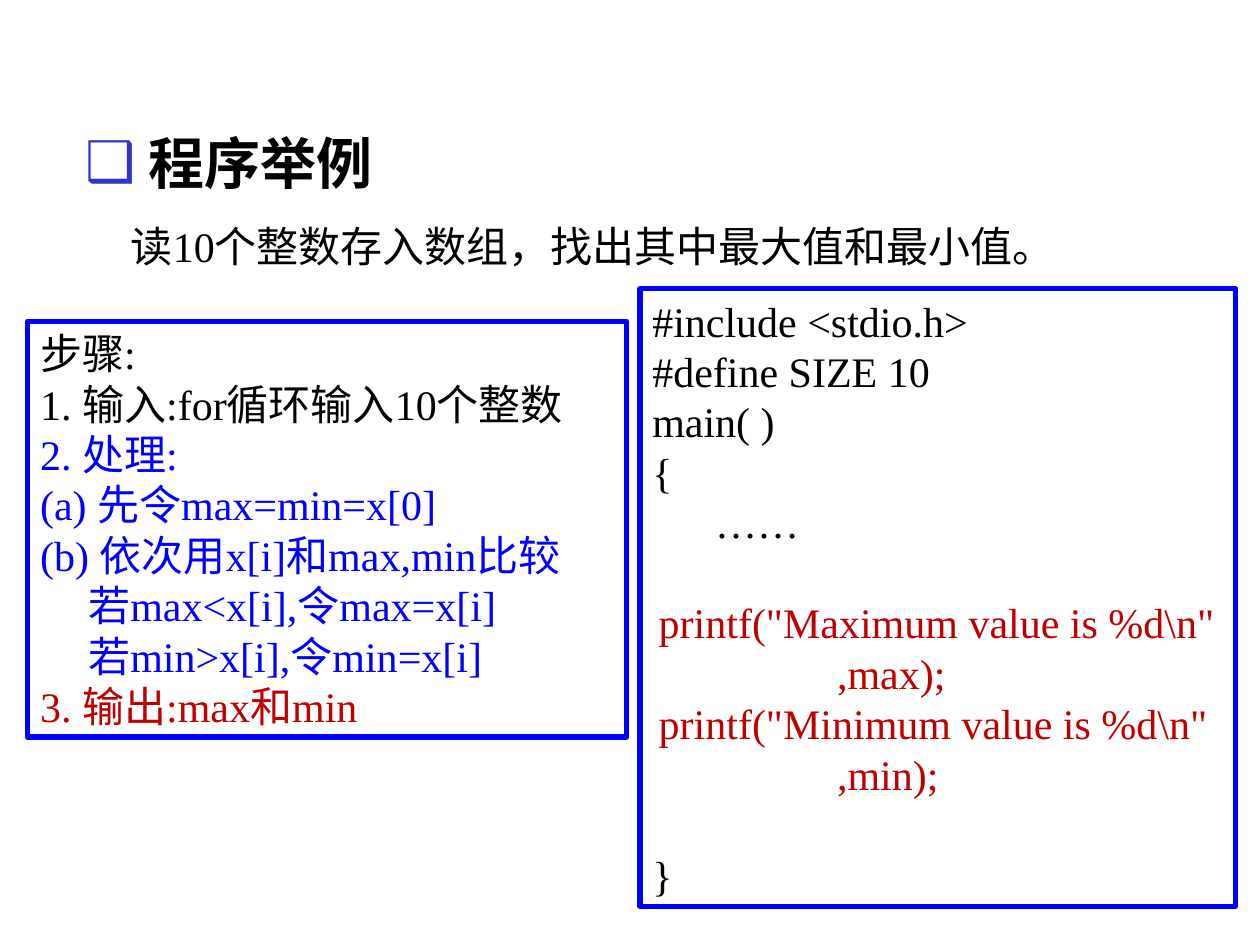
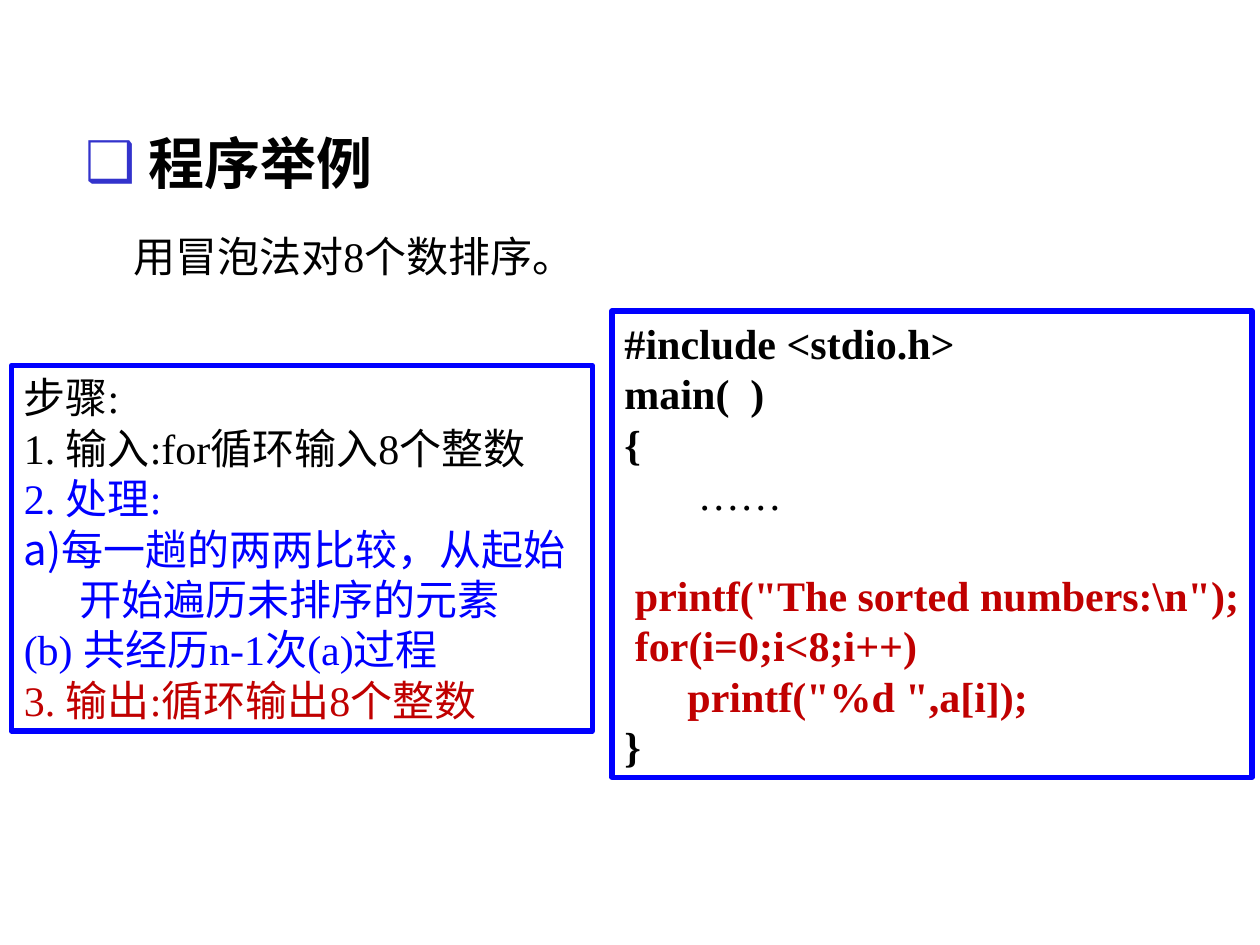
from dataclasses import dataclass

from lxml import etree
from pptx import Presentation
from pptx import util as u
from pptx.dml.color import RGBColor
from pptx.enum import shapes, text
from pptx.oxml import ns


@dataclass(frozen=True)
class Theme:
    ink: str = "000000"
    blue: str = "0000FF"
    red: str = "C00000"
    mark: str = "3333CC"
    paper: str = "FFFFFF"
    head: str = "Arial"
    body: str = "Times New Roman"
    big: float = 32
    size: float = 24
    pitch: float = 28.8
    edge: float = 3


@dataclass
class Line:
    text: str
    color: str = Theme.ink
    bold: bool = False
    left: float = 0      # left indent in cm
    gap: int = 0         # empty lines above
    auto: str = ""       # automatic numbering scheme


class Deck:
    def __init__(self, theme):
        self.theme = theme
        self.prs = Presentation()
        self.prs.slide_width, self.prs.slide_height = u.Cm(25.4), u.Cm(19.05)
        self.slide = None

    # Paragraph helpers
    def bullet(self, para, left, kind, color, **attrs):
        props = para._p.get_or_add_pPr()
        props.set("marL", str(u.Cm(left)))
        props.set("indent", str(-u.Cm(left)))
        tint = etree.SubElement(props, ns.qn("a:buClr"))
        etree.SubElement(tint, ns.qn("a:srgbClr"), val=color)
        etree.SubElement(props, ns.qn("a:buFont"), typeface=self.theme.head)
        etree.SubElement(props, ns.qn(kind), **attrs)

    def style(self, para, name, size, color, bold):
        para.alignment = text.PP_ALIGN.LEFT
        font = para.font
        font.name, font.size, font.bold = name, u.Pt(size), bold
        font.color.rgb = RGBColor.from_string(color)

    def fill(self, frame, lines):
        t = self.theme
        frame.word_wrap = True
        frame.margin_right = 0
        for i, line in enumerate(lines):
            para = frame.add_paragraph() if i else frame.paragraphs[0]
            para.add_run().text = line.text
            if line.auto:
                self.bullet(para, line.left, "a:buAutoNum", line.color, type=line.auto)
            elif line.left:
                para._p.get_or_add_pPr().set("marL", str(u.Cm(line.left)))
            para.line_spacing = u.Pt(t.pitch)
            if line.gap:
                para.space_before = u.Pt(line.gap * t.pitch)
            self.style(para, t.body, t.size, line.color, line.bold)

    # Slide elements
    def start(self, title):
        t = self.theme
        self.slide = self.prs.slides.add_slide(self.prs.slide_layouts[5])
        head = self.slide.shapes.title
        head.left, head.top, head.width, head.height = map(u.Cm, (1.47, 2.46, 10.21, 1.63))
        frame = head.text_frame
        frame.text = title
        frame.auto_size = text.MSO_AUTO_SIZE.NONE
        frame.vertical_anchor = text.MSO_ANCHOR.MIDDLE
        para = frame.paragraphs[0]
        self.bullet(para, 1.27, "a:buChar", t.mark, char="❑")
        self.style(para, t.head, t.big, t.ink, True)

    def note(self, area, lines):
        self.fill(self.slide.shapes.add_textbox(*map(u.Cm, area)).text_frame, lines)

    def panel(self, area, lines):
        t = self.theme
        box = self.slide.shapes.add_shape(shapes.MSO_SHAPE.RECTANGLE, *map(u.Cm, area))
        box.shadow.inherit = False
        box.fill.solid()
        box.fill.fore_color.rgb = RGBColor.from_string(t.paper)
        box.line.color.rgb = RGBColor.from_string(t.blue)
        box.line.width = u.Pt(t.edge)
        box.text_frame.vertical_anchor = text.MSO_ANCHOR.MIDDLE
        self.fill(box.text_frame, lines)


def main():
    t = Theme()
    deck = Deck(t)
    title = "程序举例"

    # Largest and smallest value
    deck.start(title)
    deck.note((2.39, 4.32, 19.53, 1.27), [Line("读10个整数存入数组，找出其中最大值和最小值。")])
    deck.panel((0.56, 6.48, 12.07, 8.38), [
        Line("步骤:"),
        Line("1. 输入:for循环输入10个整数"),
        Line("2. 处理:", t.blue),
        Line("(a) 先令max=min=x[0]", t.blue),
        Line("(b) 依次用x[i]和max,min比较", t.blue),
        Line("若max<x[i],令max=x[i]", t.blue, left=0.97),
        Line("若min>x[i],令min=x[i]", t.blue, left=0.97),
        Line("3. 输出:max和min", t.red),
    ])
    code = ["#include <stdio.h>", "#define SIZE 10", "main( )", "{", "      ……"]
    deck.panel((12.9, 5.82, 12.01, 12.45), [*map(Line, code), Line("}", gap=6)])
    prints = [
        r'printf("Maximum value is %d\n"',
        "                 ,max);",
        r'printf("Minimum value is %d\n"',
        "                 ,min);",
    ]
    deck.note((13.03, 11.91, 12.3, 4.32), [Line(row, t.red) for row in prints])

    # Bubble sort
    deck.start(title)
    deck.panel((12.34, 6.27, 12.9, 9.4), [
        Line("#include <stdio.h>", bold=True),
        Line("main(  )", bold=True),
        Line("{", bold=True),
        Line("       ……"),
        Line(r' printf("The sorted numbers:\n");', t.red, True, gap=1),
        Line(" for(i=0;i<8;i++)", t.red, True),
        Line('      printf("%d ",a[i]);', t.red, True),
        Line("}", bold=True),
    ])
    deck.note((2.44, 4.52, 9.8, 1.27), [Line("用冒泡法对8个数排序。")])
    deck.panel((0.23, 7.37, 11.71, 7.37), [
        Line("步骤:"),
        Line("1. 输入:for循环输入8个整数"),
        Line("2. 处理:", t.blue),
        Line("每一趟的两两比较，从起始", t.blue, left=0.76, auto="alphaLcParenR"),
        Line("开始遍历未排序的元素", t.blue, left=1.12),
        Line("(b) 共经历n-1次(a)过程", t.blue),
        Line("3. 输出:循环输出8个整数", t.red),
    ])
    deck.prs.save("out.pptx")


if __name__ == "__main__":
    main()
